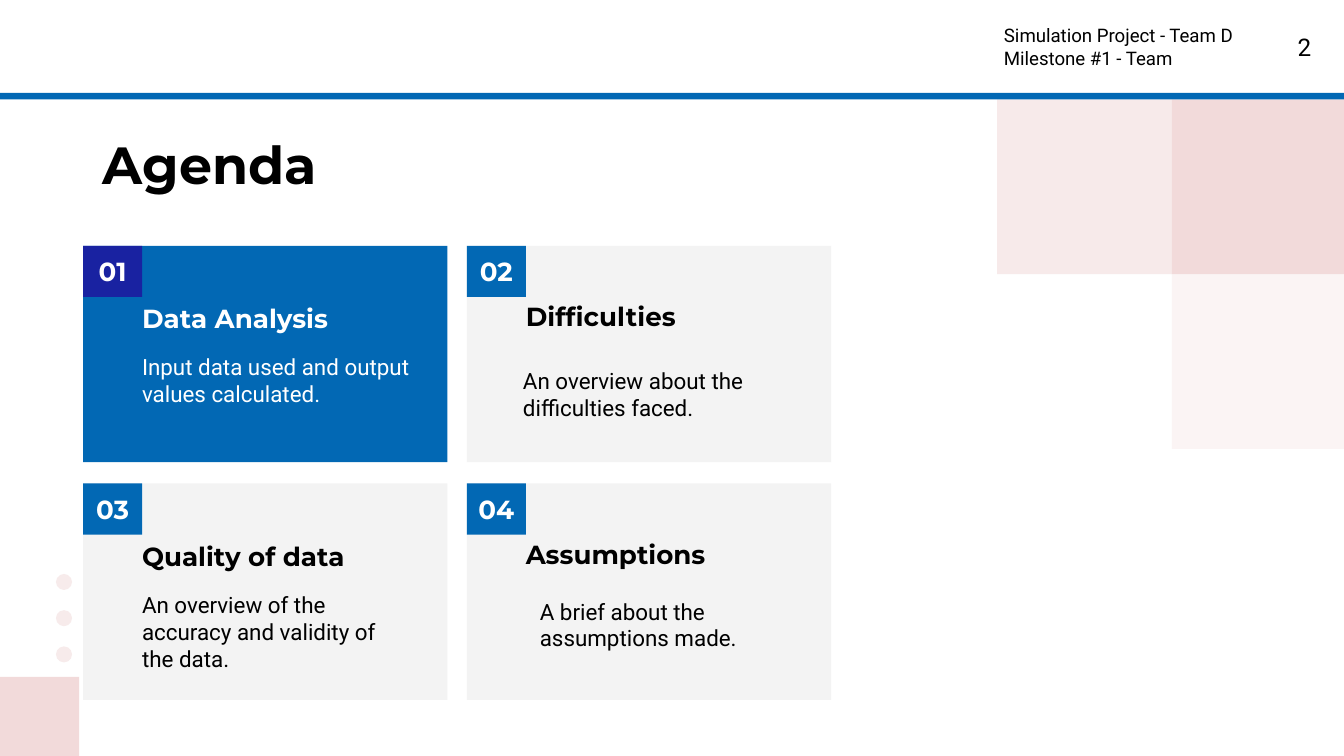
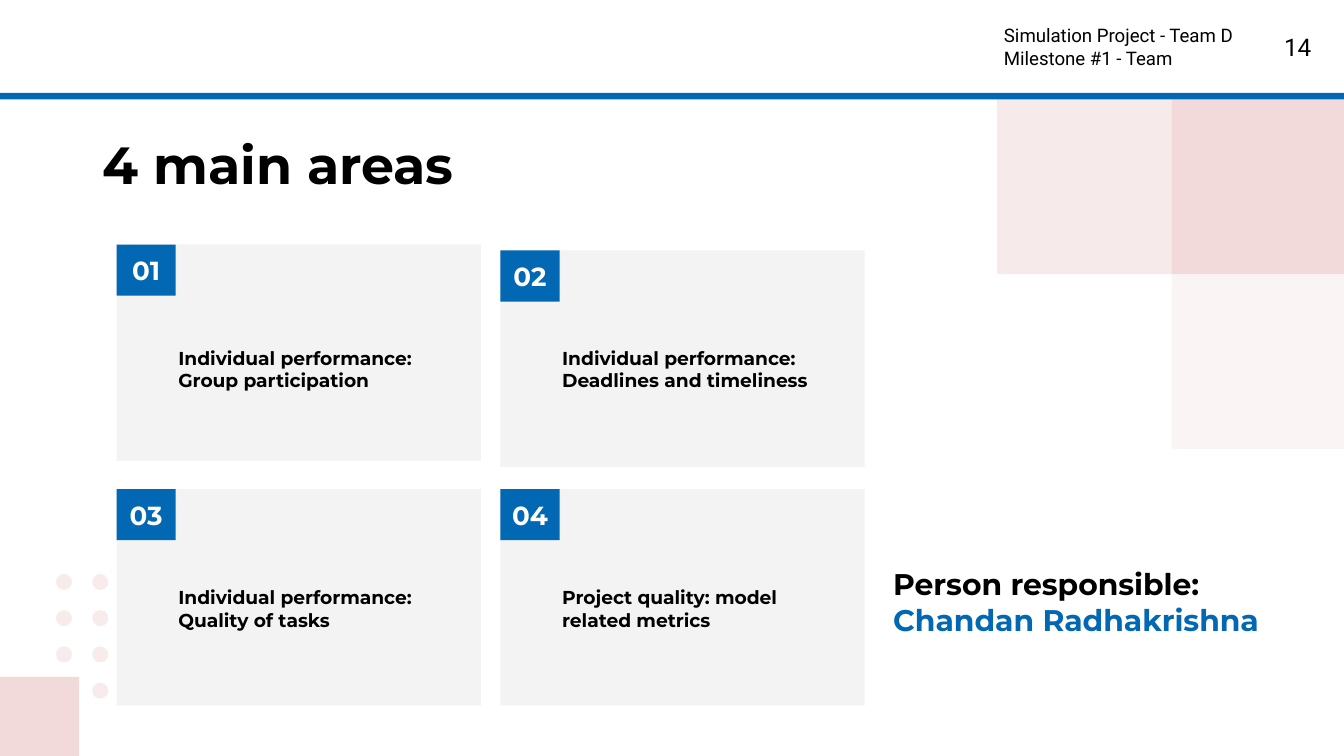
from lxml import etree
from pptx import Presentation
from pptx.dml.color import RGBColor
from pptx.enum.shapes import MSO_SHAPE
from pptx.enum.text import MSO_ANCHOR, PP_ALIGN
from pptx.oxml.ns import qn
from pptx.util import Pt

RECTANGLE, OVAL = MSO_SHAPE.RECTANGLE, MSO_SHAPE.OVAL
LEFT, CENTER, RIGHT = PP_ALIGN.LEFT, PP_ALIGN.CENTER, PP_ALIGN.RIGHT
MIDDLE = MSO_ANCHOR.MIDDLE

WHITE = RGBColor(0xFF, 0xFF, 0xFF)
BLACK = RGBColor(0x00, 0x00, 0x00)
BLUE = RGBColor(0x02, 0x68, 0xB4)
NAVY = RGBColor(0x19, 0x22, 0xA1)
GRAY = RGBColor(0xF3, 0xF3, 0xF3)
PINK = RGBColor(0xF2, 0xDA, 0xDA)
PALE_PINK = RGBColor(0xF7, 0xEB, 0xEB)

HEADING_FONT, BODY_FONT = "Montserrat", "Roboto"
SLIDE_WIDTH, SLIDE_HEIGHT = 720, 405
BAND_TOP, BAND_HEIGHT = 49.7, 3.6
SQUARE = 93.6
SQUARE_LEFT, SQUARE_TOP = 627.8, BAND_TOP + BAND_HEIGHT
CORNER = 42.4
DOT, DOT_STEP, DOT_LEFT, DOT_TOP = 8.6, 19.4, 30, 307.5
CARD_WIDTH, CARD_HEIGHT, COLUMN_STEP = 195.2, 116, 205.6
BADGE_WIDTH, BADGE_HEIGHT = 31.7, 27.4
INSET = 7.2


def add_block(slide, left, top, width, height, color, kind=RECTANGLE, alpha=None):
    """Add a flat filled shape without outline; alpha is opacity in percent."""
    shape = slide.shapes.add_shape(kind, Pt(left), Pt(top), Pt(width), Pt(height))
    shape.shadow.inherit = False
    shape.line.fill.background()
    shape.fill.solid()
    shape.fill.fore_color.rgb = color
    if alpha is not None:
        color_element = shape.fill._xPr.find(f".//{qn('a:srgbClr')}")
        etree.SubElement(color_element, qn("a:alpha"), val=str(alpha * 1000))
    return shape


def format_run(run, size, font, color):
    run.font.size = Pt(size)
    run.font.name = font
    run.font.bold = font == HEADING_FONT
    run.font.color.rgb = color


def add_text(slide, left, top, width, height, lines, size, font=HEADING_FONT,
             color=BLACK, align=LEFT, space_after=0):
    box = slide.shapes.add_textbox(Pt(left), Pt(top), Pt(width), Pt(height))
    frame = box.text_frame
    frame.word_wrap = True
    frame.margin_left = frame.margin_right = Pt(INSET)
    frame.margin_top = frame.margin_bottom = Pt(INSET)
    frame.text = lines
    for paragraph in frame.paragraphs:
        paragraph.alignment = align
        paragraph.space_after = Pt(space_after)
        for run in paragraph.runs:
            format_run(run, size, font, color)
    return box


def add_dots(slide, cells):
    for column, row in cells:
        add_block(slide, DOT_LEFT + column * DOT_STEP, DOT_TOP + row * DOT_STEP,
                  DOT, DOT, PALE_PINK, OVAL)


def add_base_slide(presentation, title, number, dot_cells):
    """Add a slide with the shared decoration, header and title."""
    slide = presentation.slides.add_slide(presentation.slide_layouts[6])
    add_dots(slide, dot_cells)
    add_block(slide, 0, SLIDE_HEIGHT - CORNER, CORNER, CORNER, PINK)
    for column, row, alpha in ((0, 0, None), (0, 1, 28), (-1, 0, 55)):
        add_block(slide, SQUARE_LEFT + column * SQUARE, SQUARE_TOP + row * SQUARE,
                  SQUARE, SQUARE, PINK, alpha=alpha)
    add_block(slide, 0, 0, SLIDE_WIDTH, BAND_TOP, WHITE)
    add_block(slide, 0, BAND_TOP, SLIDE_WIDTH, BAND_HEIGHT, BLUE)
    add_text(slide, 48, 63.5, 607.5, 45.5, title, 28)
    add_text(slide, 666.5, 10.2, 43, 31, str(number), 13, BODY_FONT, align=RIGHT)
    add_text(slide, 530.8, 5.8, 150, 37.5,
             "Simulation Project - Team D\nMilestone #1 - Team", 10, BODY_FONT)
    return slide


def add_card(slide, left, top, number, fill=GRAY, badge_fill=BLUE):
    add_block(slide, left, top, CARD_WIDTH, CARD_HEIGHT, fill)
    badge = add_block(slide, left, top, BADGE_WIDTH, BADGE_HEIGHT, badge_fill)
    frame = badge.text_frame
    frame.margin_left = frame.margin_right = 0
    frame.margin_top = frame.margin_bottom = Pt(INSET)
    frame.vertical_anchor = MIDDLE
    frame.text = f"{number:02}"
    frame.paragraphs[0].alignment = CENTER
    format_run(frame.paragraphs[0].runs[0], 14, HEADING_FONT, WHITE)


def add_agenda_slide(presentation):
    slide = add_base_slide(presentation, "Agenda", 2, [(0, row) for row in range(3)])
    # heading, its offset from the card top, body, its offsets from the card corner
    topics = (
        ("Data Analysis", 23.2, "Input data used and output values calculated.", 24.5, 50.4),
        ("Difficulties", 22, "An overview about the difficulties faced.", 23, 57.6),
        ("Quality of data", 23.2, "An overview of the accuracy and validity of the data.",
         24.5, 50.4),
        ("Assumptions", 22, "A brief about the assumptions made.", 32, 54),
    )
    for index, (heading, heading_top, body, body_left, body_top) in enumerate(topics):
        row, column = divmod(index, 2)
        left, top = 44.5 + column * COLUMN_STEP, 131.7 + row * 127.3
        active = index == 0
        color = WHITE if active else BLACK
        add_card(slide, left, top, index + 1, BLUE if active else GRAY,
                 NAVY if active else BLUE)
        add_text(slide, left + 24.5, top + heading_top, 146, 28, heading, 14,
                 color=color, space_after=8)
        add_text(slide, left + body_left, top + body_top, 157.7, 40, body, 12,
                 BODY_FONT, color, space_after=8)


def add_areas_slide(presentation):
    cells = [(column, row) for column in range(2) for row in range(3)] + [(1, 3)]
    slide = add_base_slide(presentation, "4 main areas", 14, cells)
    # card top, text top, text
    areas = (
        (131, 178.6, "Individual performance: Group participation"),
        (134.2, 178.6, "Individual performance: Deadlines and timeliness"),
        (262, 306.7, "Individual performance: Quality of tasks"),
        (262, 306.7, "Project quality: model related metrics"),
    )
    for index, (top, text_top, text) in enumerate(areas):
        left = 62.5 + index % 2 * COLUMN_STEP
        add_card(slide, left, top, index + 1)
        add_text(slide, left + 26, text_top, 152, 37.5, text, 10, space_after=8)
    owner = add_text(slide, 471.4, 296, 216.7, 49, "Person responsible: ", 16)
    name = owner.text_frame.paragraphs[0].add_run()
    name.text = "Chandan Radhakrishna"
    format_run(name, 16, HEADING_FONT, BLUE)


def main():
    presentation = Presentation()
    presentation.slide_width = Pt(SLIDE_WIDTH)
    presentation.slide_height = Pt(SLIDE_HEIGHT)
    add_agenda_slide(presentation)
    add_areas_slide(presentation)
    presentation.save("out.pptx")


if __name__ == "__main__":
    main()
